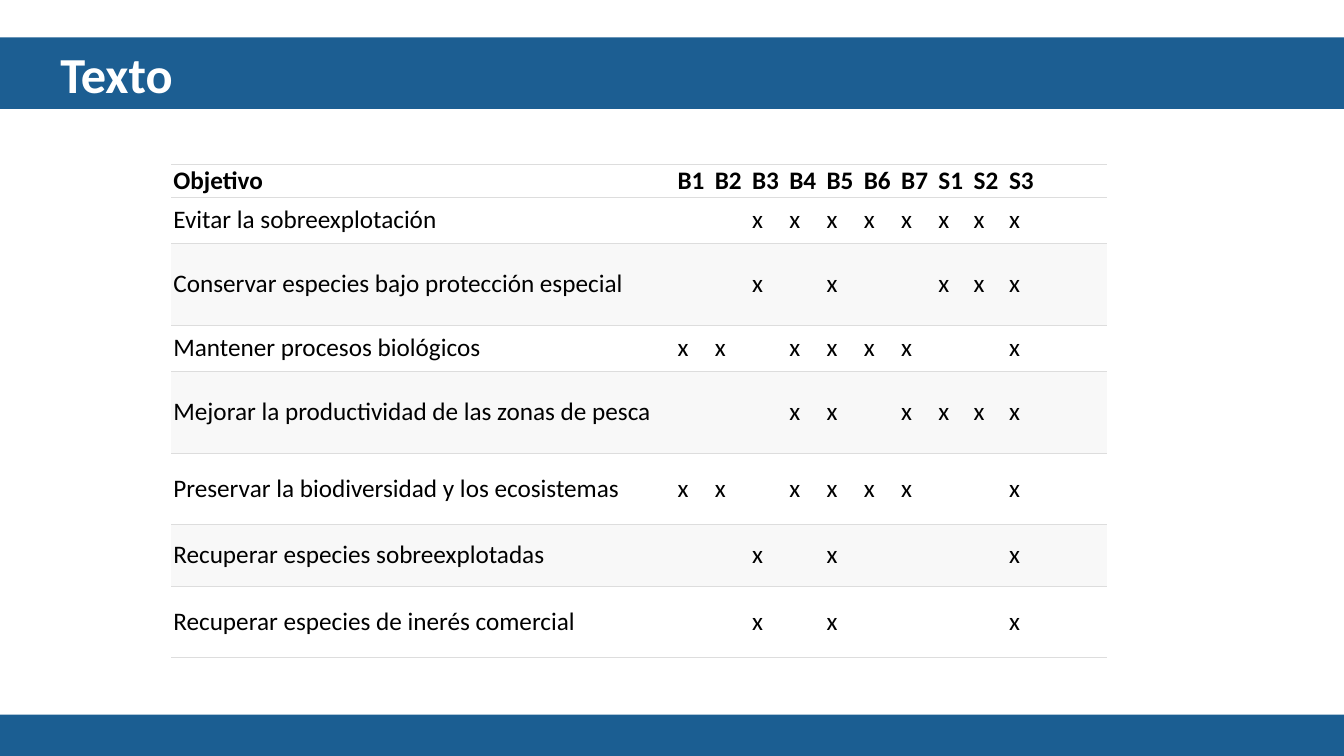
"""Build a slide with a matrix of objectives and the measures that serve them."""
from lxml import etree
from pptx import Presentation, util as u
from pptx.dml.color import RGBColor
from pptx.enum import shapes, text
from pptx.oxml.ns import qn

TITLE = "\tTexto"
MEASURES = ["B1", "B2", "B3", "B4", "B5", "B6", "B7", "S1", "S2", "S3"]
OBJECTIVES = [
    ("Evitar la sobreexplotación", "B3 B4 B5 B6 B7 S1 S2 S3", 0.46, "white"),
    ("Conservar especies bajo protección especial", "B3 B5 S1 S2 S3", 0.81, "stripe"),
    ("Mantener procesos biológicos", "B1 B2 B4 B5 B6 B7 S3", 0.46, "white"),
    ("Mejorar la productividad de las zonas de pesca", "B4 B5 B7 S1 S2 S3", 0.81, "stripe"),
    ("Preservar la biodiversidad y los ecosistemas", "B1 B2 B4 B5 B6 B7 S3", 0.71, "white"),
    ("Recuperar especies sobreexplotadas", "B3 B5 S3", 0.61, "stripe"),
    ("Recuperar especies de inerés comercial", "B3 B5 S3", 0.71, "white"),
]
COLORS = {"band": "1C5E92", "footer": "1B5E92", "white": "FFFFFF",
          "stripe": "F8F8F8", "rule": "DDDDDD", "ink": "000000"}
SLIDE_WIDTH, SLIDE_HEIGHT = 13.33, 7.5
BANDS = {"band": (0.37, 0.71), "footer": (7.09, 0.42)}
TABLE_BOX = (1.7, 1.63, 9.3, 4.91)
COLUMN_WIDTHS = [5] + [0.37] * 7 + [0.35] * 2 + [0.99]
HEADER_HEIGHT = 0.17
RULE, LAST_RULE = 0.6, 1.2
CELL_FORMAT = {"margin_left": u.Inches(0.02), "margin_right": u.Inches(0.02),
               "margin_top": u.Inches(0.01), "margin_bottom": u.Inches(0.01),
               "vertical_anchor": text.MSO_ANCHOR.MIDDLE}


def set_all(target, values):
    for name, value in values.items():
        setattr(target, name, value)


def paint(fill, color):
    fill.solid()
    fill.fore_color.rgb = RGBColor.from_string(COLORS[color])


def write(paragraph, words, size, color, bold):
    run = paragraph.add_run()
    run.text = words
    set_all(run.font, {"name": "Calibri", "size": u.Pt(size), "bold": bold})
    run.font.color.rgb = RGBColor.from_string(COLORS[color])


def add_band(slide, color):
    top, height = BANDS[color]
    shape = slide.shapes.add_shape(shapes.MSO_SHAPE.RECTANGLE, 0, u.Inches(top),
                                   u.Inches(SLIDE_WIDTH), u.Inches(height))
    shape.shadow.inherit = False
    paint(shape.fill, color)
    shape.line.fill.background()
    return shape


def set_borders(cell, bottom):
    properties = cell._tc.get_or_add_tcPr()
    for side, width in {"L": 0, "R": 0, "T": RULE, "B": bottom}.items():
        line = etree.SubElement(properties, qn(f"a:ln{side}"), w=str(u.Pt(width)))
        if width:
            fill = etree.SubElement(line, qn("a:solidFill"))
            etree.SubElement(fill, qn("a:srgbClr"), val=COLORS["rule"])
        else:
            etree.SubElement(line, qn("a:noFill"))


def add_matrix(slide):
    rows = [(["Objetivo"] + MEASURES, HEADER_HEIGHT, "white")]
    for objective, served, height, color in OBJECTIVES:
        marks = ["x" if measure in served.split() else "" for measure in MEASURES]
        rows.append(([objective] + marks, height, color))
    frame = slide.shapes.add_table(len(rows), len(COLUMN_WIDTHS), *map(u.Inches, TABLE_BOX))
    table = frame.table
    set_all(table, {"first_row": False, "horz_banding": False})
    for column, width in zip(table.columns, COLUMN_WIDTHS):
        column.width = u.Inches(width)
    for index, (row, (words, height, color)) in enumerate(zip(table.rows, rows)):
        row.height = u.Inches(height)
        for cell, word in zip(row.cells, words):
            set_all(cell, CELL_FORMAT)
            set_borders(cell, LAST_RULE if index == len(rows) - 1 else RULE)
            paint(cell.fill, color)
            if word:
                write(cell.text_frame.paragraphs[0], word, 18, "ink", index == 0)
    frame.height = u.Inches(TABLE_BOX[3])


def main():
    presentation = Presentation()
    set_all(presentation, {"slide_width": u.Inches(SLIDE_WIDTH),
                           "slide_height": u.Inches(SLIDE_HEIGHT)})
    slide = presentation.slides.add_slide(presentation.slide_layouts[6])
    title = add_band(slide, "band").text_frame
    title.vertical_anchor = text.MSO_ANCHOR.MIDDLE
    title.paragraphs[0].alignment = text.PP_ALIGN.LEFT
    write(title.paragraphs[0], TITLE, 36, "white", True)
    add_band(slide, "footer")
    add_matrix(slide)
    presentation.save("out.pptx")


if __name__ == "__main__":
    main()
